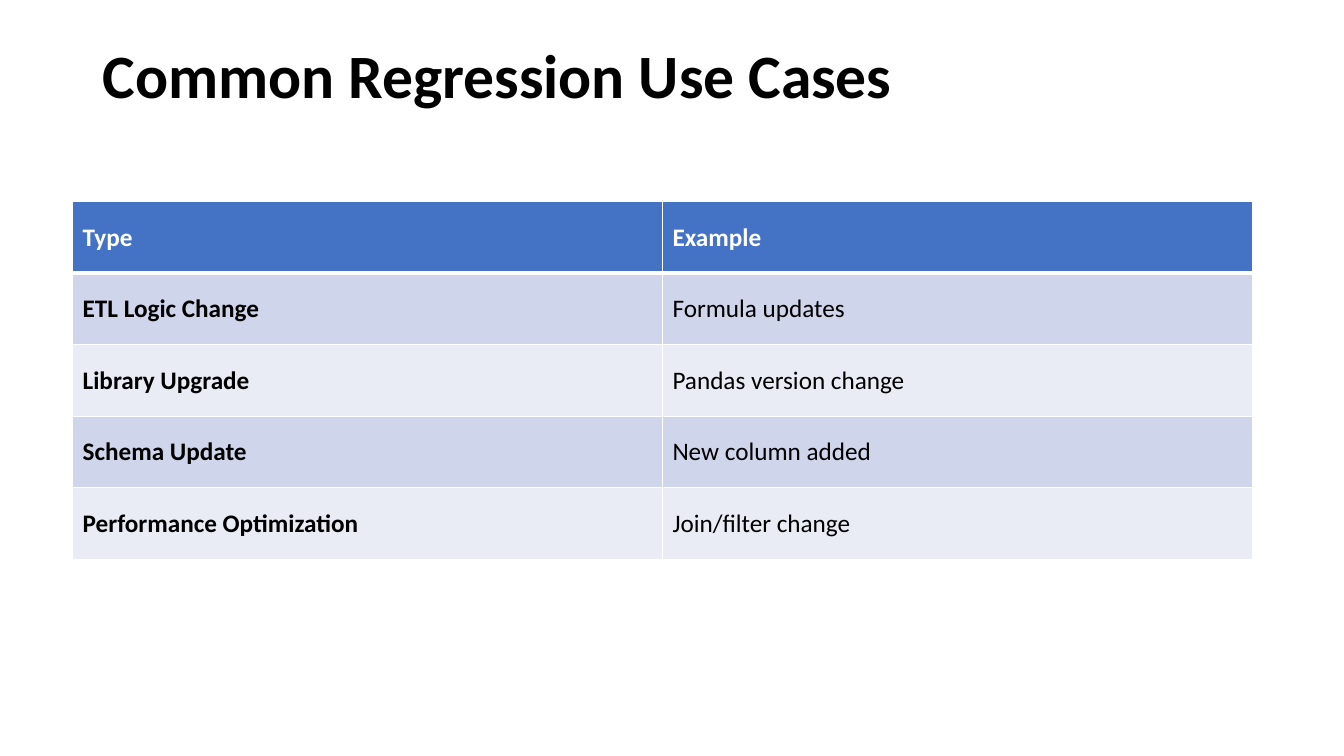
from dataclasses import dataclass

from lxml.etree import SubElement
from pptx import Presentation
from pptx.dml.color import RGBColor
from pptx.enum.text import MSO_ANCHOR
from pptx.oxml.ns import qn
from pptx.util import Inches, Pt


@dataclass(frozen=True)
class Theme:
    """Colours, font and type sizes of the slide."""
    font: str = "Calibri"
    title_size: int = 44
    table_size: int = 18
    ink: str = "000000"
    white: str = "FFFFFF"
    header: str = "4472C4"
    bands: tuple = ("CFD5EA", "E9EBF5")
    thin: int = 1
    thick: int = 3


THEME = Theme()
TITLE = "Common Regression Use Cases"
USE_CASES = [
    ("Type", "Example"),
    ("ETL Logic Change", "Formula updates"),
    ("Library Upgrade", "Pandas version change"),
    ("Schema Update", "New column added"),
    ("Performance Optimization", "Join/filter change"),
]


def style_paragraph(para, size, color, bold):
    """Set the font of a whole paragraph."""
    font = para.font
    font.name = THEME.font
    font.size = Pt(size)
    font.bold = bold
    font.color.rgb = RGBColor.from_string(color)


def add_title(page, text):
    """Add the slide title."""
    box = page.shapes.add_textbox(Inches(0.92), Inches(0.4), Inches(11.5), Inches(1.45))
    frame = box.text_frame
    frame.word_wrap = True
    frame.vertical_anchor = MSO_ANCHOR.TOP
    para = frame.paragraphs[0]
    para.text = text
    para.line_spacing = 0.9
    style_paragraph(para, THEME.title_size, THEME.ink, True)


def set_borders(cell, top, bottom):
    """Draw white borders around a cell with the given top and bottom widths."""
    properties = cell._tc.get_or_add_tcPr()
    widths = {"a:lnL": THEME.thin, "a:lnR": THEME.thin, "a:lnT": top, "a:lnB": bottom}
    for tag, width in widths.items():
        line = SubElement(properties, qn(tag), w=str(Pt(width)))
        fill = SubElement(line, qn("a:solidFill"))
        SubElement(fill, qn("a:srgbClr"), val=THEME.white)


def fill_cell(cell, text, row, column):
    """Write and style one cell by its place in the table."""
    is_header = row == 0
    set_borders(
        cell,
        top=THEME.thick if row == 1 else THEME.thin,
        bottom=THEME.thick if is_header else THEME.thin,
    )
    background = THEME.header if is_header else THEME.bands[(row - 1) % 2]
    cell.fill.solid()
    cell.fill.fore_color.rgb = RGBColor.from_string(background)
    cell.vertical_anchor = MSO_ANCHOR.MIDDLE
    cell.text = text
    color = THEME.white if is_header else THEME.ink
    style_paragraph(
        cell.text_frame.paragraphs[0], THEME.table_size, color, is_header or column == 0
    )


def add_use_case_table(page, rows):
    """Add the table with a header row, a bold first column and banded rows."""
    table = page.shapes.add_table(
        len(rows), len(rows[0]), Inches(0.72), Inches(2), Inches(11.7), Inches(3.55)
    ).table
    table.first_col = True
    for row, texts in enumerate(rows):
        for column, text in enumerate(texts):
            fill_cell(table.cell(row, column), text, row, column)


def main():
    """Build the slide and save the deck."""
    deck = Presentation()
    deck.slide_width, deck.slide_height = Inches(13.33), Inches(7.5)
    page = deck.slides.add_slide(deck.slide_layouts[6])
    add_title(page, TITLE)
    add_use_case_table(page, USE_CASES)
    deck.save("out.pptx")


if __name__ == "__main__":
    main()
